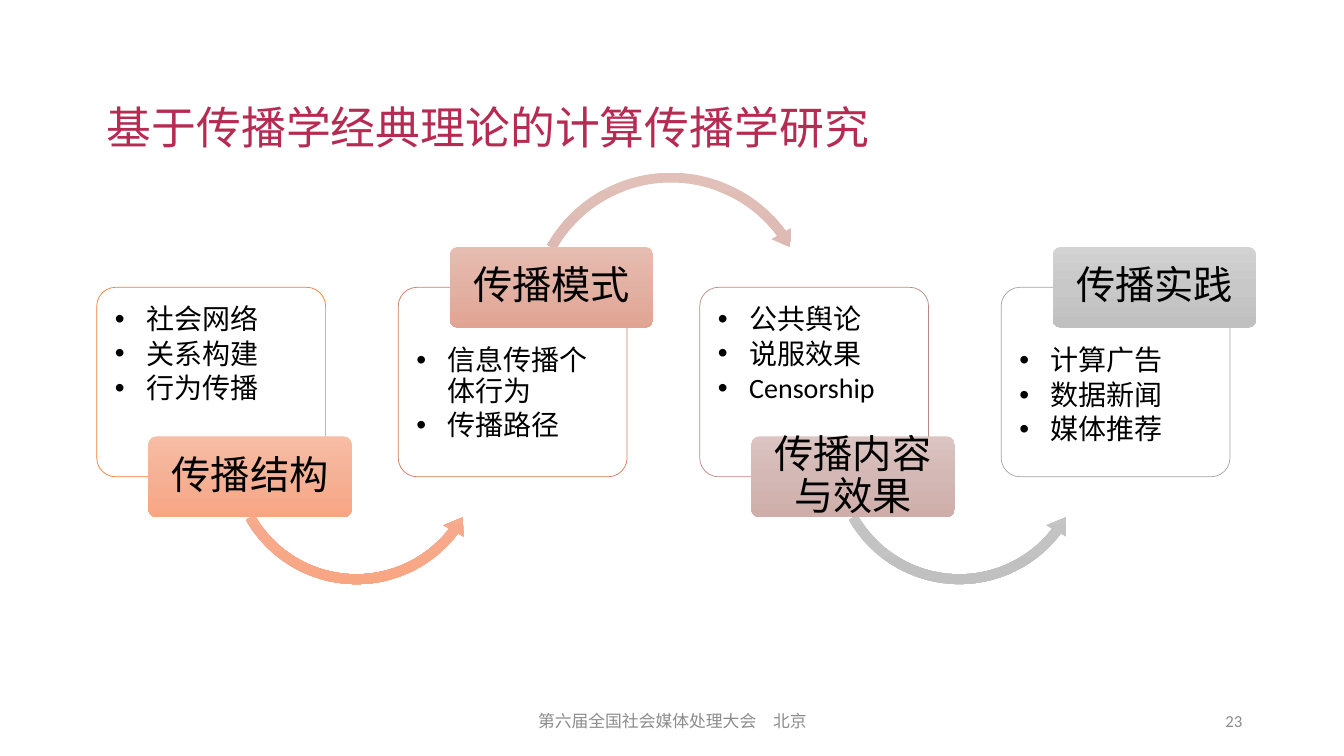
from copy import deepcopy

from lxml import etree
from pptx import Presentation
from pptx.dml.color import RGBColor
from pptx.enum.lang import MSO_LANGUAGE_ID
from pptx.enum.shapes import MSO_SHAPE
from pptx.enum.text import MSO_ANCHOR, MSO_AUTO_SIZE, PP_ALIGN
from pptx.oxml.ns import qn
from pptx.util import Inches, Pt

ROUND = MSO_SHAPE.ROUNDED_RECTANGLE
ARC_UP, ARC_DOWN = MSO_SHAPE.CIRCULAR_ARROW, MSO_SHAPE.LEFT_CIRCULAR_ARROW
TOP, MIDDLE = MSO_ANCHOR.TOP, MSO_ANCHOR.MIDDLE
LEFT, CENTER, RIGHT = PP_ALIGN.LEFT, PP_ALIGN.CENTER, PP_ALIGN.RIGHT
FIXED = MSO_AUTO_SIZE.NONE
CHINESE = MSO_LANGUAGE_ID.SIMPLIFIED_CHINESE
COMPARISON = 4  # layout with a title and four bodies

COLORS = {"title": "B62B52", "text": "000000", "foot": "8C8C8C", "panel": "FFFFFF"}
ORANGE = ("F7BDA5", "F5B196", "F8A582")
GRAY = ("D2D2D2", "C8C8C8", "C0C0C0")
ROSE = ("E0C0B9", "DAB4AC", "D7A89E")

# Label, list items, panel line, label gradient, arrow gradient
STEPS = [
    ("传播结构", ["社会网络", "关系构建", "行为传播"], "ED7D31", ORANGE, ORANGE),
    ("传播模式", ["信息传播个体行为", "传播路径"], "D17B5C",
     ("E7BDB1", "E2B1A3", "E1A493"), ROSE),
    ("传播内容与效果", ["公共舆论", "说服效果", "Censorship"], "B98A82",
     ("DBC4C1", "D3B8B5", "CFAEA9"), GRAY),
    ("传播实践", ["计算广告", "数据新闻", "媒体推荐"], "A5A5A5", GRAY, None),
]
START, PITCH = 0.96, 2.99


def rgb(code):
    return RGBColor.from_string(code)


def place(shape, x, y, w, h):
    shape.left, shape.top = Inches(x), Inches(y)
    shape.width, shape.height = Inches(w), Inches(h)


def write(shape, lines, size, color, align, anchor=MIDDLE, font="Calibri",
          pads=(0.1, 0.05), space=1.0):
    frame = shape.text_frame
    frame.text = "\n".join(lines)
    frame.word_wrap, frame.auto_size = True, FIXED
    frame.vertical_anchor = anchor
    frame.margin_left = frame.margin_right = Inches(pads[0])
    frame.margin_top = frame.margin_bottom = Inches(pads[1])
    for para in frame.paragraphs:
        para.alignment, para.line_spacing = align, space
        para.space_before = Pt(0)
        for run in para.runs:
            run.font.name, run.font.size = font, Pt(size)
            run.font.bold = False
            run.font.color.rgb = rgb(color)
            run.font.language_id = CHINESE


def add_shape(slide, kind, box, adjust):
    shape = slide.shapes.add_shape(kind, *map(Inches, box))
    shape.shadow.inherit = False
    for i, value in enumerate(adjust):
        shape.adjustments[i] = value
    return shape


def shade(shape, codes):
    shape.line.fill.background()
    fill = shape.fill
    fill.gradient()
    fill.gradient_angle = 270
    stops = shape._element.spPr.find(".//" + qn("a:gsLst"))
    stops.insert(1, deepcopy(stops[0]))
    for stop, code, pos in zip(fill.gradient_stops, codes, (0, 0.5, 1)):
        stop.color.rgb, stop.position = rgb(code), pos


def add_panel(slide, x, line):
    panel = add_shape(slide, ROUND, (x, 2.85, 2.27, 1.88), [0.1])
    panel.fill.solid()
    panel.fill.fore_color.rgb = rgb(COLORS["panel"])
    tint = panel._element.spPr.find(qn("a:solidFill"))[0]
    etree.SubElement(tint, qn("a:alpha"), val="90000")
    panel.line.color.rgb, panel.line.width = rgb(line), Pt(0.5)


def fill_list(slide, body, x, y, items):
    slide.shapes._spTree.append(body._element)  # bring above its panel
    place(body, x, y, 2.19, 1.39)
    write(body, items, 20, COLORS["text"], LEFT, TOP, pads=(0.14, 0.14), space=0.9)
    for para in body.text_frame.paragraphs:
        para.space_after = Pt(3)
        props = para._p.get_or_add_pPr()
        props.set("marL", str(Inches(0.31)))
        props.set("indent", str(-Inches(0.31)))
        etree.SubElement(props, qn("a:buFont"), typeface="Arial")
        etree.SubElement(props, qn("a:buChar"), char="•")


def add_arrow(slide, x, high, codes):
    if high:
        arrow = add_shape(slide, ARC_UP, (x + 1.23, 1.65, 2.95, 2.95),
                          [0.033, 4.06, 194.185, 125.755, 0.038])
    else:
        arrow = add_shape(slide, ARC_DOWN, (x + 1.25, 3.21, 2.65, 2.65),
                          [0.037, 4.574, 22.329, 90.245, 0.043])
    shade(arrow, codes)


def add_label(slide, x, y, text, codes):
    label = add_shape(slide, ROUND, (x, y, 2.02, 0.8), [0.1])
    shade(label, codes)
    write(label, [text], 28, COLORS["text"], CENTER, pads=(0.08, 0.06), space=0.9)


def add_foot(slide, x, w, text, align):
    box = slide.shapes.add_textbox(*map(Inches, (x, 6.95, w, 0.4)))
    write(box, [text], 12, COLORS["foot"], align)


def main():
    deck = Presentation()
    deck.slide_width, deck.slide_height = Inches(13.33), Inches(7.5)
    slide = deck.slides.add_slide(deck.slide_layouts[COMPARISON])
    title, *bodies = slide.placeholders

    # Title
    place(title, 0.96, 0.56, 11.46, 1.45)
    write(title, ["基于传播学经典理论的计算传播学研究"], 32, COLORS["title"], LEFT,
          font="Times New Roman", space=0.9)

    # Steps, with labels low and high in turn
    for i, (text, items, line, codes, arc) in enumerate(STEPS):
        x, high = START + i * PITCH, i % 2 == 1
        add_panel(slide, x, line)
        fill_list(slide, bodies[i], x + 0.04, 3.3 if high else 2.89, items)
        if arc:
            add_arrow(slide, x, high, arc)
        add_label(slide, x + 0.51, 2.45 if high else 4.33, text, codes)

    # Footer and page number
    add_foot(slide, 4.42, 4.5, "第六届全国社会媒体处理大会　北京", CENTER)
    add_foot(slide, 9.42, 3, "23", RIGHT)
    deck.save("out.pptx")


if __name__ == "__main__":
    main()
